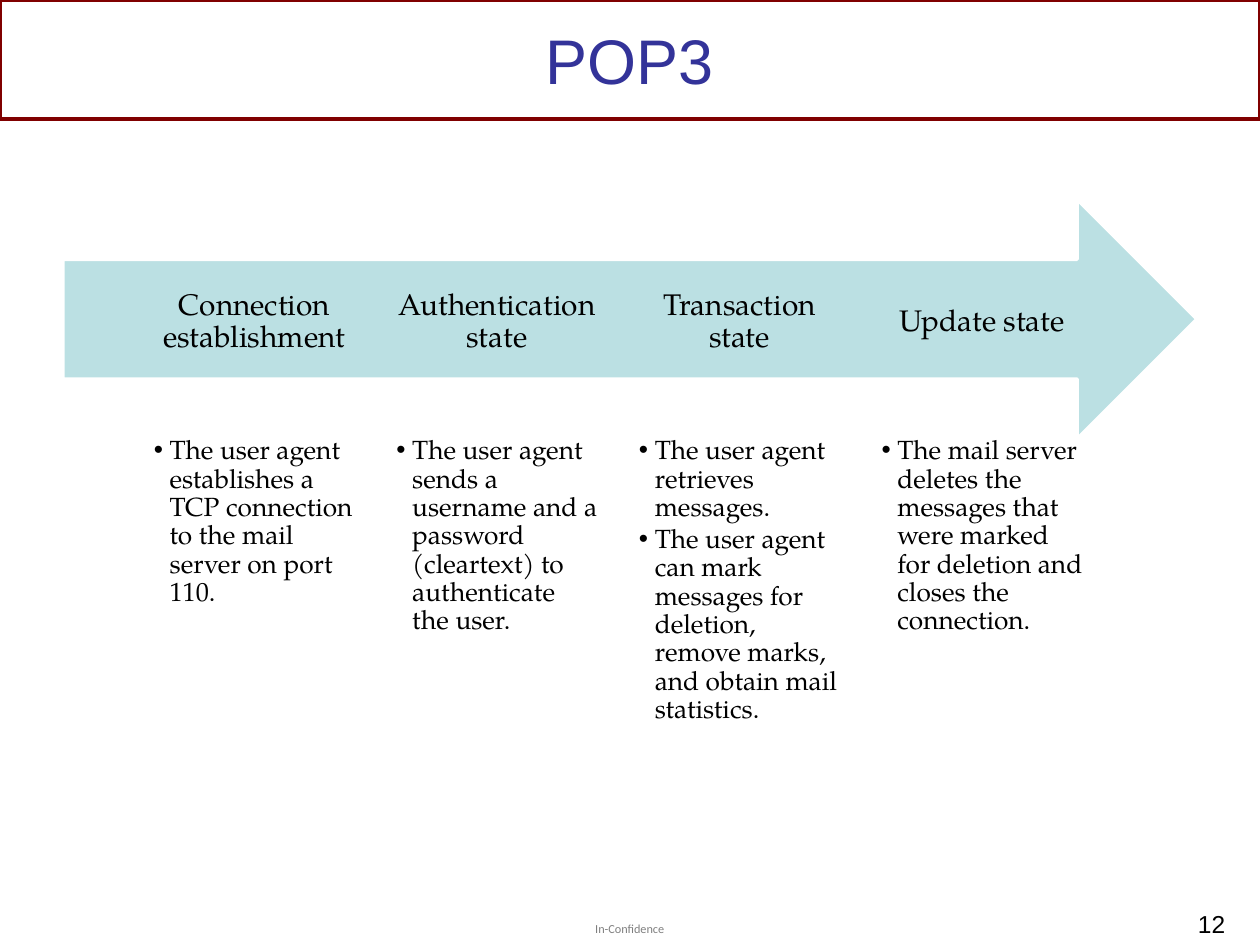
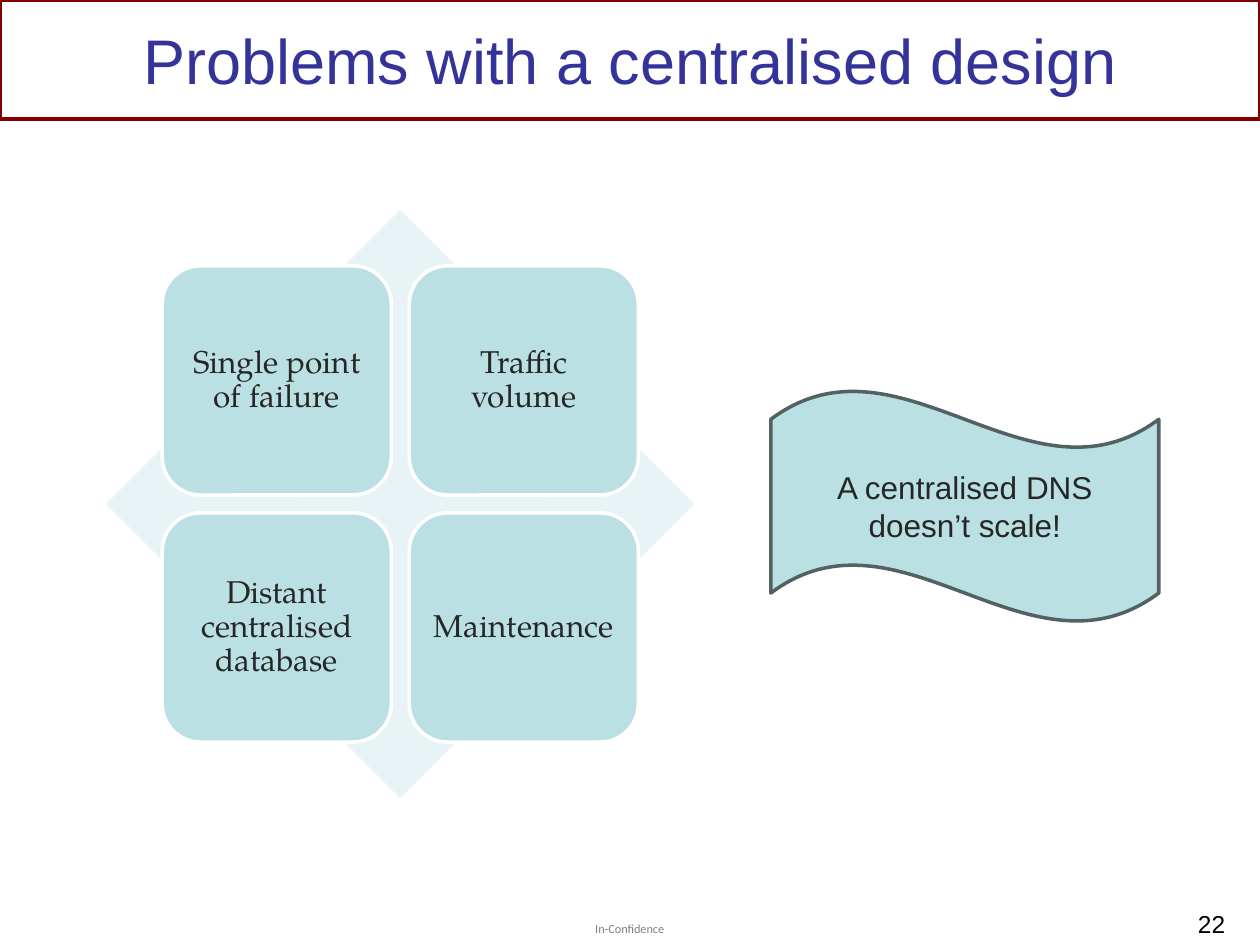
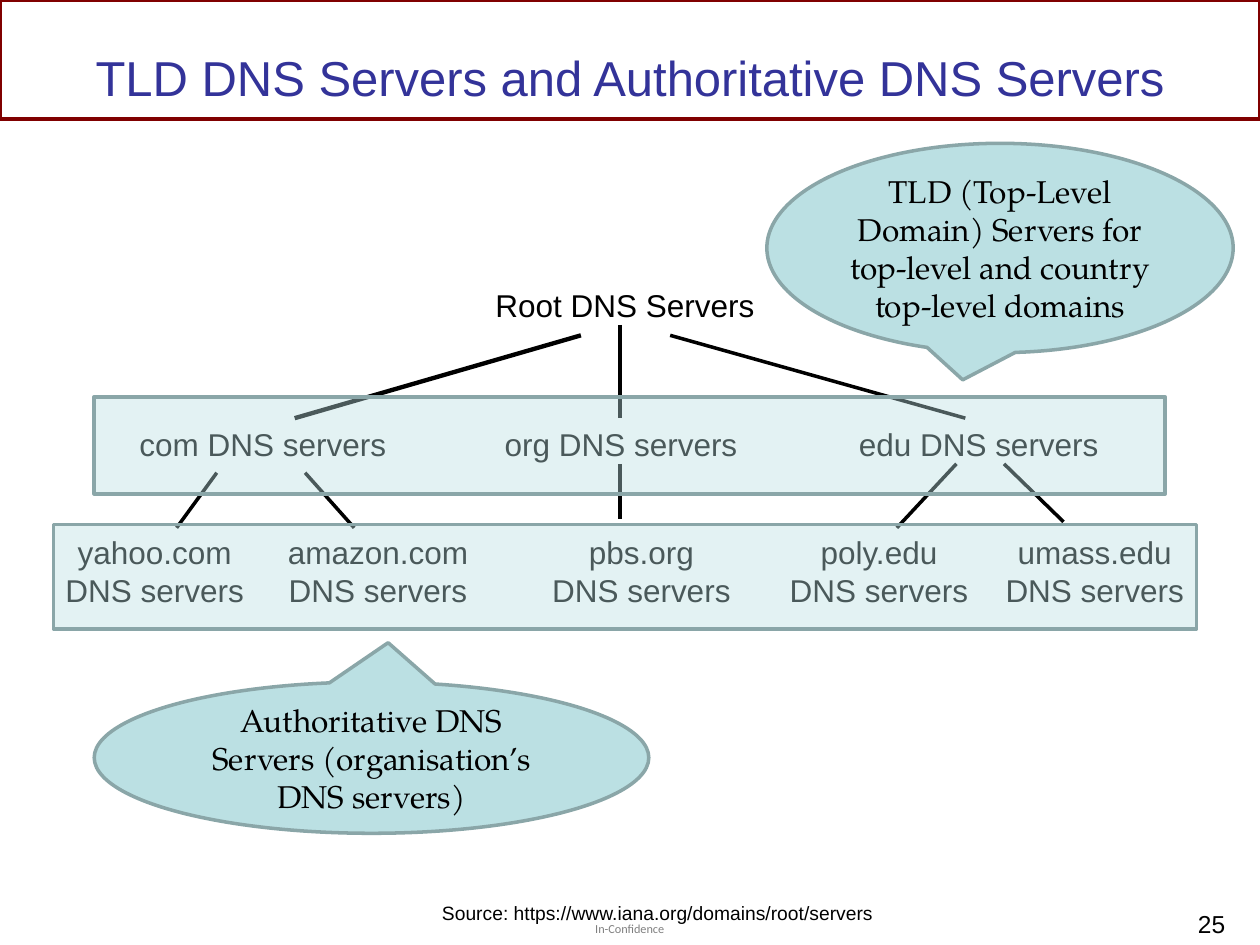
from dataclasses import dataclass

from lxml import etree
from pptx import Presentation
from pptx.dml.color import RGBColor
from pptx.enum.shapes import MSO_CONNECTOR, MSO_SHAPE
from pptx.enum.text import MSO_ANCHOR, MSO_AUTO_SIZE, PP_ALIGN
from pptx.oxml.ns import qn
from pptx.util import Cm, Pt

# Enum members
LEFT, CENTER, RIGHT = PP_ALIGN.LEFT, PP_ALIGN.CENTER, PP_ALIGN.RIGHT
TOP, MIDDLE = MSO_ANCHOR.TOP, MSO_ANCHOR.MIDDLE
FIXED, GROW = MSO_AUTO_SIZE.NONE, MSO_AUTO_SIZE.SHAPE_TO_FIT_TEXT
STRAIGHT = MSO_CONNECTOR.STRAIGHT
RECTANGLE, ROUNDED = MSO_SHAPE.RECTANGLE, MSO_SHAPE.ROUNDED_RECTANGLE
ARROW, DIAMOND, WAVE = MSO_SHAPE.RIGHT_ARROW, MSO_SHAPE.DIAMOND, MSO_SHAPE.WAVE
CALLOUT = MSO_SHAPE.OVAL_CALLOUT

# Shared look
COLORS = {
    "title": "333399",
    "band": "800000",
    "text": "000000",
    "soft_text": "262626",
    "aqua": "BBE0E3",
    "pale": "E7F3F4",
    "edge": "8AA6A8",
    "wave_edge": "526263",
    "white": "FFFFFF",
}
SANS, SERIF, SMALL = "Arial", "TeX Gyre Pagella", "Calibri"
COMPARISON_LAYOUT, TITLE_LAYOUT = 4, 5


@dataclass(frozen=True)
class Area:
    """Place and size in centimetres."""
    left: float
    top: float
    width: float
    height: float

    def lengths(self) -> tuple:
        return Cm(self.left), Cm(self.top), Cm(self.width), Cm(self.height)


@dataclass(frozen=True)
class Style:
    """How the text of one box looks."""
    size: float = 18
    font: str = SANS
    color: str = "text"
    align: PP_ALIGN = LEFT
    anchor: MSO_ANCHOR = TOP
    spacing: float = 1.0
    after: float = 0
    insets: tuple = (0.25, 0.13)
    bullet: bool = False
    wrap: bool = True
    grow: bool = False
    opacity: int = 100


@dataclass(frozen=True)
class State:
    name: str
    actions: list


@dataclass(frozen=True)
class Label:
    lines: list
    area: Area


@dataclass(frozen=True)
class Link:
    start: tuple
    end: tuple
    weight: float = 2


@dataclass(frozen=True)
class Zone:
    """A tinted level of the tree and the callout that explains it."""
    area: Area
    callout: Area
    pointer: tuple
    note: str


TITLE = Style(36, color="title", align=CENTER, anchor=MIDDLE)
LONG_TITLE = Style(28, color="title", align=CENTER, anchor=MIDDLE)
NUMBER = Style(14, align=RIGHT)
FOOTER = Style(7, SMALL, insets=(0, 0), grow=True, opacity=50)
HEADING = Style(17, SERIF, align=CENTER, anchor=MIDDLE, spacing=0.9, insets=(0, 0.48))
ACTIONS = Style(15, SERIF, spacing=0.9, after=2, insets=(0, 0), bullet=True)
TILE = Style(18, SERIF, "soft_text", CENTER, MIDDLE, 0.9, insets=(0.18, 0.18))
BANNER = Style(color="soft_text", align=CENTER, anchor=MIDDLE)
TREE_LABEL = Style(align=CENTER, wrap=False, grow=True)
NOTE = Style(18, SERIF, align=CENTER, anchor=MIDDLE)
SOURCE = Style(11, grow=True)

TITLE_AREA = Area(1.27, 0.2, 22.86, 2)
LONG_TITLE_AREA = Area(1.27, 0.2, 22.86, 2.7)


# Drawing helpers
def rgb(name: str) -> RGBColor:
    return RGBColor.from_string(COLORS[name])


def set_opacity(owner, percent: int) -> None:
    """Make the solid fill inside a property element see-through."""
    color = owner.find(qn("a:solidFill"))[0]
    etree.SubElement(color, qn("a:alpha")).set("val", str(percent * 1000))


def add_bullet(para) -> None:
    properties = para._p.get_or_add_pPr()
    properties.set("marL", str(Cm(0.32)))
    properties.set("indent", str(-Cm(0.32)))
    etree.SubElement(properties, qn("a:buFont")).set("typeface", "Arial")
    etree.SubElement(properties, qn("a:buChar")).set("char", "•")


def write(box, lines: list, style: Style) -> None:
    frame = box.text_frame
    frame.word_wrap = style.wrap
    frame.auto_size = GROW if style.grow else FIXED
    frame.vertical_anchor = style.anchor
    frame.margin_left = frame.margin_right = Cm(style.insets[0])
    frame.margin_top = frame.margin_bottom = Cm(style.insets[1])
    for index, line in enumerate(lines):
        para = frame.add_paragraph() if index else frame.paragraphs[0]
        if style.bullet:
            add_bullet(para)
        para.alignment = style.align
        para.line_spacing = style.spacing
        para.space_before = Pt(0)
        para.space_after = Pt(style.after)
        span = para.add_run()
        span.text = line
        span.font.name = style.font
        span.font.size = Pt(style.size)
        span.font.bold = False
        span.font.color.rgb = rgb(style.color)
        if style.opacity < 100:
            set_opacity(span._r.rPr, style.opacity)


def fill_placeholder(box, area: Area, lines: list, style: Style) -> None:
    box.left, box.top, box.width, box.height = area.lengths()
    write(box, lines, style)


def add_text(page, area: Area, lines: list, style: Style) -> None:
    write(page.shapes.add_textbox(*area.lengths()), lines, style)


def add_figure(page, kind: MSO_SHAPE, area: Area, fill: str = "", line: str = "",
               opacity: int = 100):
    figure = page.shapes.add_shape(kind, *area.lengths())
    figure.shadow.inherit = False
    if fill:
        figure.fill.solid()
        figure.fill.fore_color.rgb = rgb(fill)
        if opacity < 100:
            set_opacity(figure._element.spPr, opacity)
    else:
        figure.fill.background()
    if line:
        figure.line.color.rgb = rgb(line)
        figure.line.width = Pt(2)
    else:
        figure.line.fill.background()
    return figure


def add_link(page, link: Link) -> None:
    ends = [Cm(value) for value in (*link.start, *link.end)]
    connector = page.shapes.add_connector(STRAIGHT, *ends)
    connector.line.color.rgb = rgb("text")
    connector.line.width = Pt(link.weight)
    etree.SubElement(connector._element.spPr, qn("a:effectLst"))


def add_page(deck, layout: int, title: str, number: int,
             area: Area = TITLE_AREA, style: Style = TITLE):
    """Add a slide with its title, band, footer and number."""
    page = deck.slides.add_slide(deck.slide_layouts[layout])
    add_figure(page, RECTANGLE, Area(0, 0, 25.4, 2.4), line="band")
    add_text(page, Area(12, 18.57, 1.45, 0.3), ["In-Confidence"], FOOTER)
    fill_placeholder(page.shapes.title, area, [title], style)
    add_text(page, Area(19.36, 18.2, 5.59, 0.76), [str(number)], NUMBER)
    return page


# Slide content
STATES = [
    State("Connection establishment", [
        "The user agent establishes a TCP connection to the mail server on port 110."]),
    State("Authentication state", [
        "The user agent sends a username and a password (cleartext) to "
        "authenticate the user."]),
    State("Transaction state", [
        "The user agent retrieves messages.",
        "The user agent can mark messages for deletion, remove marks, and "
        "obtain mail statistics."]),
    State("Update state", [
        "The mail server deletes the messages that were marked for deletion "
        "and closes the connection."]),
]

PROBLEMS = ["Single point of failure", "Traffic volume",
            "Distant centralised database", "Maintenance"]

# Tree boxes are slightly wider than their text, so that no label wraps
LEVELS = [
    Label(["Root DNS Servers"], Area(9.6, 5.64, 6, 1.02)),
    Label(["com DNS servers"], Area(2.4, 8.43, 5.8, 1.02)),
    Label(["org DNS servers"], Area(9.72, 8.43, 5.6, 1.02)),
    Label(["edu DNS servers"], Area(16.93, 8.43, 5.6, 1.02)),
]

SERVERS = [
    Label([domain, "DNS servers"], Area(center - 2.2, 10.62, 4.4, 1.78))
    for domain, center in [("yahoo.com", 3.12), ("amazon.com", 7.62), ("pbs.org", 12.93),
                           ("poly.edu", 17.72), ("umass.edu", 22.07)]
]

LINKS = [
    Link((11.71, 6.76), (5.94, 8.43), 2.5),
    Link((12.5, 6.55), (12.5, 8.43)),
    Link((13.51, 6.76), (19.46, 8.43)),
    Link((4.37, 9.53), (3.56, 10.64)),
    Link((6.15, 9.53), (7.14, 10.64)),
    Link((12.5, 9.35), (12.5, 10.46)),
    Link((19.28, 9.35), (18.08, 10.64)),
    Link((20.24, 9.35), (21.44, 10.52)),
]

ZONES = [
    Zone(Area(1.9, 8, 21.59, 1.96), Area(15.46, 2.89, 9.4, 4.22), (-0.08, 0.63),
         "TLD (Top-Level Domain) Servers for top-level and country top-level domains"),
    Zone(Area(1.08, 10.57, 23.04, 2.11), Area(1.9, 13.75, 11.18, 3.05), (0.03, -0.76),
         "Authoritative DNS Servers (organisation’s DNS servers)"),
]


# Slides
def add_pop3_page(deck) -> None:
    page = add_page(deck, COMPARISON_LAYOUT, "POP3", 12)
    add_figure(page, ARROW, Area(1.27, 4.02, 22.86, 4.83), "aqua", "white")
    for index, state in enumerate(STATES):
        left = 3.1 + index * 4.89
        add_text(page, Area(left, 5.29, 4.06, 2.41), [state.name], HEADING)
        fill_placeholder(page.placeholders[index + 1], Area(left, 8.81, 4.06, 6.53),
                         state.actions, ACTIONS)


def add_problems_page(deck) -> None:
    page = add_page(deck, TITLE_LAYOUT, "Problems with a centralised design", 22)
    add_figure(page, DIAMOND, Area(2.14, 4.23, 11.86, 11.86), "pale")
    for index, problem in enumerate(PROBLEMS):
        row, column = divmod(index, 2)
        area = Area(3.27 + column * 4.98, 5.36 + row * 4.98, 4.62, 4.62)
        write(add_figure(page, ROUNDED, area, "aqua", "white"), [problem], TILE)
    banner = add_figure(page, WAVE, Area(15.54, 7.87, 7.82, 4.67), "aqua", "wave_edge")
    write(banner, ["A centralised DNS doesn’t scale!"], BANNER)


def add_servers_page(deck) -> None:
    page = add_page(deck, TITLE_LAYOUT, "TLD DNS Servers and Authoritative DNS Servers",
                    25, LONG_TITLE_AREA, LONG_TITLE)
    for label in LEVELS + SERVERS:
        add_text(page, label.area, label.lines, TREE_LABEL)
    for link in LINKS:
        add_link(page, link)
    for zone in ZONES:
        add_figure(page, RECTANGLE, zone.area, "aqua", "edge", opacity=40)
        callout = add_figure(page, CALLOUT, zone.callout, "aqua", "edge")
        callout.adjustments[0], callout.adjustments[1] = zone.pointer
        write(callout, [zone.note], NOTE)
    add_text(page, Area(8.66, 18.03, 9.7, 0.74),
             ["Source: https://www.iana.org/domains/root/servers"], SOURCE)


def main() -> None:
    deck = Presentation()
    deck.slide_width, deck.slide_height = Cm(25.4), Cm(19.05)
    add_pop3_page(deck)
    add_problems_page(deck)
    add_servers_page(deck)
    deck.save("out.pptx")


if __name__ == "__main__":
    main()
